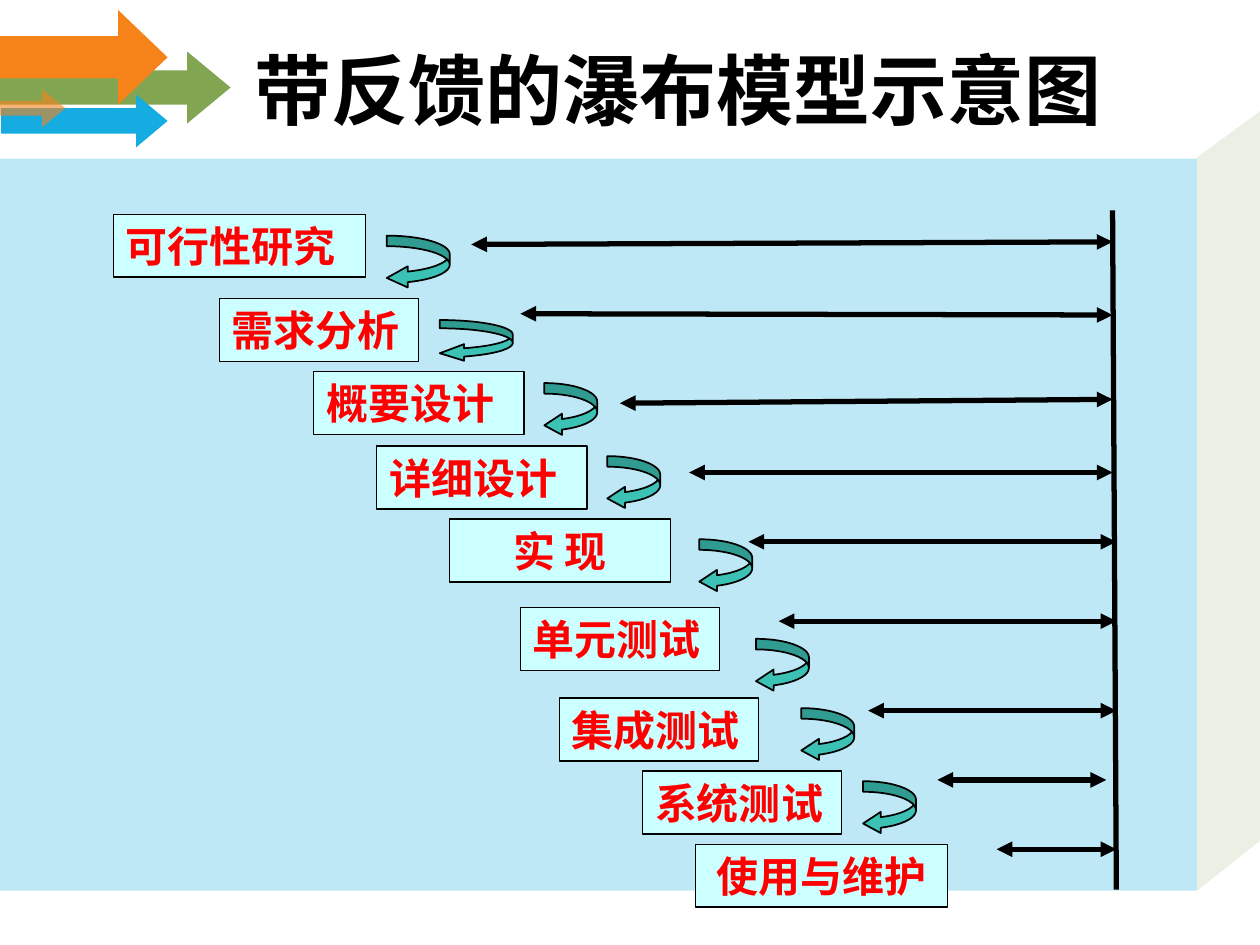
from lxml import etree
from pptx import Presentation
from pptx import util as u
from pptx.dml.color import RGBColor
from pptx.enum import shapes, text
from pptx.oxml.ns import qn

THEME = {
    "orange": "F6831A", "green": "81A551", "blue": "15ACE1",
    "box": "CCFFFF", "loop": "3CC2B5", "line": "000000",
    "title": "000000", "label": "FF0000",
    "title_font": "Arial", "label_font": "Times New Roman",
    "title_size": 44, "label_size": 24,
    "box_line": 0.75, "loop_line": 1, "arrow_line": 3,
}
TITLE = "带反馈的瀑布模型示意图"
LEFT, CENTER = text.PP_ALIGN.LEFT, text.PP_ALIGN.CENTER
BOX_HEIGHT = 0.5
# label, alignment, box (left, top, width), loop to the next stage (left, top, width, height)
STAGES = [
    ("可行性研究", LEFT, (0.9, 1.7, 2), (3.07, 1.87, 0.5, 0.42)),
    ("需求分析", LEFT, (1.74, 2.37, 1.58), (3.49, 2.54, 0.58, 0.33)),
    ("概要设计", LEFT, (2.49, 2.95, 1.67), (4.32, 3.04, 0.42, 0.42)),
    ("详细设计", LEFT, (2.99, 3.54, 1.67), (4.82, 3.62, 0.42, 0.42)),
    ("实 现", CENTER, (3.57, 4.12, 1.75), (5.55, 4.28, 0.42, 0.42)),
    ("单元测试", LEFT, (4.13, 4.82, 1.58), (6, 5.07, 0.42, 0.42)),
    ("集成测试", LEFT, (4.44, 5.54, 1.58), (6.36, 5.62, 0.42, 0.42)),
    ("系统测试", LEFT, (5.1, 6.12, 1.58), (6.85, 6.2, 0.42, 0.42)),
    ("使用与维护", CENTER, (5.52, 6.7, 2), None),
]
FEEDBACK_BAR = (8.83, 1.67, 8.86, 7.06)
# from x, from y, to x, to y
FEEDBACK_ARROWS = [
    (3.74, 1.94, 8.83, 1.92), (4.13, 2.49, 8.83, 2.5), (4.92, 3.2, 8.83, 3.17),
    (5.47, 3.75, 8.83, 3.75), (5.94, 4.3, 8.86, 4.3), (6.18, 4.93, 8.86, 4.93),
    (6.89, 5.64, 8.86, 5.64), (7.44, 6.19, 8.78, 6.19), (7.91, 6.74, 8.86, 6.74),
]
# colour, opacity in percent, unrotated box, shaft and head proportions
BANNER_ARROWS = [
    ("green", 100, (0.63, -0.22, 0.57, 1.83), (0.479, 0.604)),
    ("orange", 100, (0.29, -0.21, 0.75, 1.33), (0.447, 0.523)),
    ("blue", 100, (0.46, 0.3, 0.42, 1.32), (0.479, 0.597)),
    ("orange", 60, (0.11, 0.6, 0.3, 0.52), (0.389, 0.624)),
]
PANEL = (0, 1.26, 9.5, 5.81)
PANEL_SIDE = [(9.5, 1.25), (10.06, 0.84), (10.03, 6.65), (9.5, 7.07)]


def rgb(name):
    return RGBColor.from_string(THEME[name])


def paint(shape, fill, opacity=100, line_width=None):
    shape.shadow.inherit = False
    shape.fill.solid()
    shape.fill.fore_color.rgb = rgb(fill)
    if opacity < 100:
        colour = shape._element.spPr.find(".//" + qn("a:srgbClr"))
        etree.SubElement(colour, qn("a:alpha"), val=str(opacity * 1000))
    if line_width is None:
        shape.line.fill.background()
    else:
        shape.line.color.rgb = rgb("line")
        shape.line.width = u.Pt(line_width)


def add_shape(slide, kind, box, adjustments=()):
    shape = slide.shapes.add_shape(kind, *map(u.Inches, box))
    for index, value in enumerate(adjustments):
        shape.adjustments[index] = value
    return shape


def write(shape, words, role, align):
    frame = shape.text_frame
    frame.word_wrap = True
    frame.vertical_anchor = text.MSO_ANCHOR.MIDDLE
    paragraph = frame.paragraphs[0]
    paragraph.text = words
    paragraph.alignment = align
    font = paragraph.font
    font.name = THEME[role + "_font"]
    font.size = u.Pt(THEME[role + "_size"])
    font.bold = True
    font.color.rgb = rgb(role)


def add_line(slide, ends, arrowheads=False):
    line = slide.shapes.add_connector(shapes.MSO_CONNECTOR.STRAIGHT, *map(u.Inches, ends))
    line.line.color.rgb = rgb("line")
    line.line.width = u.Pt(THEME["arrow_line"])
    if arrowheads:
        for end in ("a:headEnd", "a:tailEnd"):
            etree.SubElement(line.line._get_or_add_ln(), qn(end), type="triangle")
    etree.SubElement(line._element.spPr, qn("a:effectLst"))


def add_backdrop(slide):
    outline = [(u.Inches(x), u.Inches(y)) for x, y in PANEL_SIDE]
    builder = slide.shapes.build_freeform(*outline[0])
    builder.add_line_segments(outline[1:], close=True)
    paint(builder.convert_to_shape(), "green", 16)
    paint(add_shape(slide, shapes.MSO_SHAPE.RECTANGLE, PANEL), "blue", 27)
    for colour, opacity, box, proportions in BANNER_ARROWS:
        arrow = add_shape(slide, shapes.MSO_SHAPE.UP_ARROW, box, proportions)
        arrow.rotation = 90
        paint(arrow, colour, opacity)


def add_stage(slide, label, align, box, loop):
    stage = add_shape(slide, shapes.MSO_SHAPE.RECTANGLE, (*box, BOX_HEIGHT))
    paint(stage, "box", line_width=THEME["box_line"])
    write(stage, label, "label", align)
    if loop:
        width, height = loop[2:]
        head_length = width / 3 / min(width, height)
        arrow = add_shape(slide, shapes.MSO_SHAPE.CURVED_LEFT_ARROW, loop, (0.2, 0.4, head_length))
        paint(arrow, "loop", line_width=THEME["loop_line"])


def main():
    deck = Presentation()
    deck.slide_width, deck.slide_height = u.Inches(10), u.Inches(7.5)
    slide = deck.slides.add_slide(deck.slide_layouts[6])
    add_backdrop(slide)
    title = slide.shapes.add_textbox(*map(u.Inches, (1.92, 0.11, 7.5, 1.18)))
    write(title, TITLE, "title", LEFT)
    add_line(slide, FEEDBACK_BAR)
    for stage in STAGES:
        add_stage(slide, *stage)
    for ends in FEEDBACK_ARROWS:
        add_line(slide, ends, arrowheads=True)
    deck.save("out.pptx")


if __name__ == "__main__":
    main()
